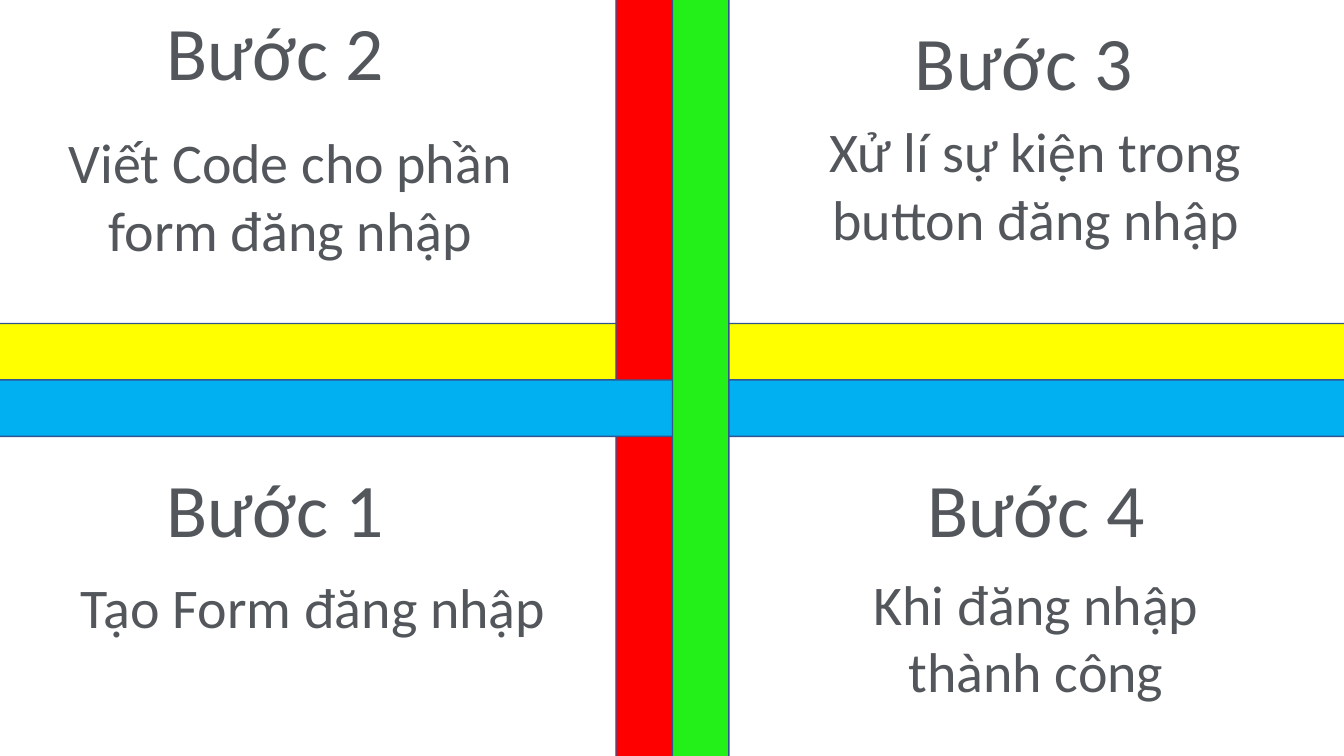
from pptx import Presentation
from pptx.dml.color import RGBColor
from pptx.enum.shapes import MSO_SHAPE
from pptx.enum.text import MSO_AUTO_SIZE, PP_ALIGN
from pptx.util import Inches, Pt


def color(value):
    return RGBColor.from_string(value)


class StepSlide:
    font = "Calibri"
    text_color = "53575C"
    line_color = "325491"

    def __init__(self, prs):
        self.s = prs.slides.add_slide(prs.slide_layouts[6])

    def bar(self, x, y, w, h, fill):
        sp = self.s.shapes.add_shape(
            MSO_SHAPE.ROUNDED_RECTANGLE, Inches(x), Inches(y), Inches(w), Inches(h))
        sp.shadow.inherit = False
        sp.fill.solid()
        sp.fill.fore_color.rgb = color(fill)
        sp.line.color.rgb = color(self.line_color)
        sp.line.width = Pt(1)

    def text(self, x, y, w, h, text, size, wrap):
        sp = self.s.shapes.add_textbox(Inches(x), Inches(y), Inches(w), Inches(h))
        tf = sp.text_frame
        tf.word_wrap = wrap
        tf.auto_size = MSO_AUTO_SIZE.SHAPE_TO_FIT_TEXT
        p = tf.paragraphs[0]
        p.text = text
        p.alignment = PP_ALIGN.CENTER
        p.font.name = self.font
        p.font.size = Pt(size)
        p.font.color.rgb = color(self.text_color)


TITLES = [
    (1.37, 4.53, 2.72, "Bước 1", False),
    (1.37, 0, 2.72, "Bước 2", False),
    (7.57, 0.1, 5.17, "Bước 3", True),
    (7.69, 4.53, 5.17, "Bước 4", True),
]
DETAILS = [
    (0.66, 5.63, 4.89, 0.77, "Tạo Form đăng nhập", False),
    (0, 1.22, 5.76, 1.45, "Viết Code cho phần form đăng nhập", True),
    (7.39, 1.11, 5.76, 1.45, "Xử lí sự kiện trong button đăng nhập", True),
    (8.15, 5.6, 4.25, 1.45, "Khi đăng nhập thành công", True),
]
THICKNESS = 0.56


def main():
    prs = Presentation()
    prs.slide_width = Inches(13.33)
    prs.slide_height = Inches(7.5)
    slide = StepSlide(prs)

    rows = [(3.21, "FFFF00"), (3.77, "00B0F0")]
    columns = [(6.11, "FF0000"), (6.67, "23EF19")]
    for (y, row_fill), (x, column_fill) in zip(rows, columns):
        slide.bar(-1.07, y, 15.75, THICKNESS, row_fill)
        slide.bar(x, -2.02, THICKNESS, 11.81, column_fill)

    for x, y, w, text, wrap in TITLES:
        slide.text(x, y, w, 1.01, text, 54, wrap)
    for x, y, w, h, text, wrap in DETAILS:
        slide.text(x, y, w, h, text, 40, wrap)

    prs.save("out.pptx")


if __name__ == "__main__":
    main()
